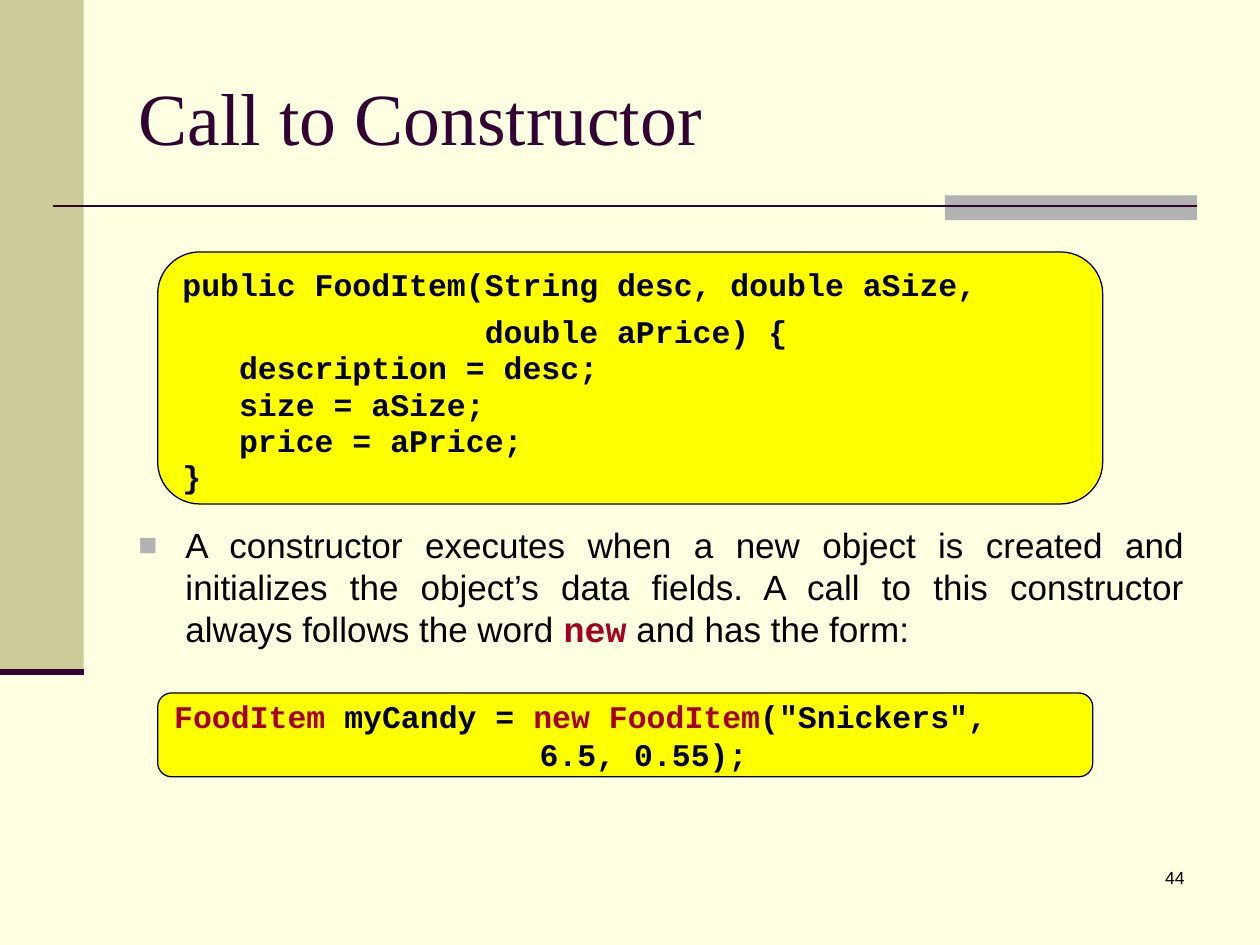
"""Build the slide "Call to Constructor" with two Java code boxes."""
from dataclasses import dataclass

from lxml.etree import SubElement
from pptx import Presentation
from pptx.dml.color import RGBColor as RGB
from pptx.enum.shapes import MSO_CONNECTOR as CONNECTOR, MSO_SHAPE as SHAPE
from pptx.enum.text import MSO_ANCHOR as ANCHOR, PP_ALIGN as ALIGN
from pptx.oxml.ns import qn
from pptx.util import Cm, Pt


@dataclass(frozen=True)
class Theme:
    paper: RGB = RGB.from_string("FFFFE1")
    olive: RGB = RGB.from_string("CCCC99")
    grey: RGB = RGB.from_string("B2B2B2")
    plum: RGB = RGB.from_string("330033")
    yellow: RGB = RGB.from_string("FFFF00")
    red: RGB = RGB.from_string("A50021")
    ink: RGB = RGB.from_string("000000")
    serif: str = "Times New Roman"
    sans: str = "Arial"
    mono: str = "Courier New"
    title_size: int = 42
    body_size: int = 20
    code_size: int = 18
    number_size: int = 10


T = Theme()


def add_box(s, shape, box, fill):
    sp = s.shapes.add_shape(shape, *map(Cm, box))
    sp.shadow.inherit = False
    sp.fill.solid()
    sp.fill.fore_color.rgb = fill
    sp.line.fill.background()
    return sp


def add_runs(p, pieces, size):
    for text, font, color in pieces:
        r = p.add_run()
        r.text = text
        r.font.name = font
        r.font.size = Pt(size)
        r.font.bold = font == T.mono
        r.font.color.rgb = color


prs = Presentation()
prs.slide_width, prs.slide_height = Cm(25.4), Cm(19.05)
s = prs.slides.add_slide(prs.slide_layouts[5])
s.background.fill.solid()
s.background.fill.fore_color.rgb = T.paper

add_box(s, SHAPE.RECTANGLE, (0, 0, 1.69, 13.55), T.olive)
add_box(s, SHAPE.RECTANGLE, (19.05, 3.94, 5.08, 0.5), T.grey)
for x1, x2, y, width in ((1.06, 24.13, 4.15, 1.5), (0, 1.69, 13.55, 3.5)):
    rule = s.shapes.add_connector(CONNECTOR.STRAIGHT, Cm(x1), Cm(y), Cm(x2), Cm(y))
    rule.line.color.rgb = T.plum
    rule.line.width = Pt(width)
    SubElement(rule.element.spPr, qn("a:effectLst"))

title = s.shapes.title
title.left, title.top, title.width, title.height = map(Cm, (2.54, 0.76, 21.59, 3.18))
tf = title.text_frame
tf.text = "Call to Constructor"
tf.vertical_anchor = ANCHOR.MIDDLE
p = tf.paragraphs[0]
p.alignment = ALIGN.LEFT
font = p.runs[0].font
font.name, font.size, font.color.rgb = T.serif, Pt(T.title_size), T.plum

definition = [
    [("public FoodItem(String desc, double aSize,", T.mono, T.ink)],
    [("                double aPrice) {", T.mono, T.ink)],
    [("   description = desc;", T.mono, T.ink)],
    [("   size = aSize;", T.mono, T.ink)],
    [("   price = aPrice;", T.mono, T.ink)],
    [("}", T.mono, T.ink)],
]
call = [
    [("FoodItem", T.mono, T.red), (" myCandy = ", T.mono, T.ink),
     ("new FoodItem", T.mono, T.red), ('("Snickers",', T.mono, T.ink)],
    [("\t\t\t\t      6.5, 0.55);", T.mono, T.ink)],
]
code_boxes = (
    ((3.18, 5.08, 19.05, 5.08), definition, ANCHOR.TOP, 0.04, 20.8, 6),
    ((3.18, 13.97, 18.85, 1.69), call, ANCHOR.MIDDLE, 0.13, 21.7, 0),
)
for box, lines, anchor, margin, pitch, gap in code_boxes:
    sp = add_box(s, SHAPE.ROUNDED_RECTANGLE, box, T.yellow)
    sp.line.color.rgb = T.ink
    sp.line.width = Pt(0.75)
    tf = sp.text_frame
    tf.word_wrap = True
    tf.vertical_anchor = anchor
    tf.margin_top = Cm(margin)
    for i, pieces in enumerate(lines):
        p = tf.paragraphs[0] if i == 0 else tf.add_paragraph()
        p.alignment = ALIGN.LEFT
        p.line_spacing = Pt(pitch)
        p.space_before = Pt(gap if i == 1 else 0)
        add_runs(p, pieces, T.code_size)

tf = s.shapes.add_textbox(Cm(2.54), Cm(10.43), Cm(21.59), Cm(3)).text_frame
tf.word_wrap = True
p = tf.paragraphs[0]
p.alignment = ALIGN.JUSTIFY
pPr = p._p.get_or_add_pPr()
pPr.set("marL", str(Cm(0.95)))
pPr.set("indent", str(Cm(-0.95)))
SubElement(SubElement(pPr, qn("a:buClr")), qn("a:srgbClr"), val=str(T.grey))
SubElement(pPr, qn("a:buSzPct"), val="90000")
SubElement(pPr, qn("a:buFont"), typeface=T.sans)
SubElement(pPr, qn("a:buChar"), char="■")
add_runs(p, [
    ("A constructor executes when a new object is created and initializes the "
     "object’s data fields. A call to this constructor always follows the word ",
     T.sans, T.ink),
    ("new", T.mono, T.red),
    (" and has the form:", T.sans, T.ink),
], T.body_size)

tf = s.shapes.add_textbox(Cm(18.85), Cm(17.35), Cm(5.28), Cm(1.27)).text_frame
tf.word_wrap = True
p = tf.paragraphs[0]
p.alignment = ALIGN.RIGHT
add_runs(p, [("44", T.sans, T.ink)], T.number_size)

prs.save("out.pptx")
